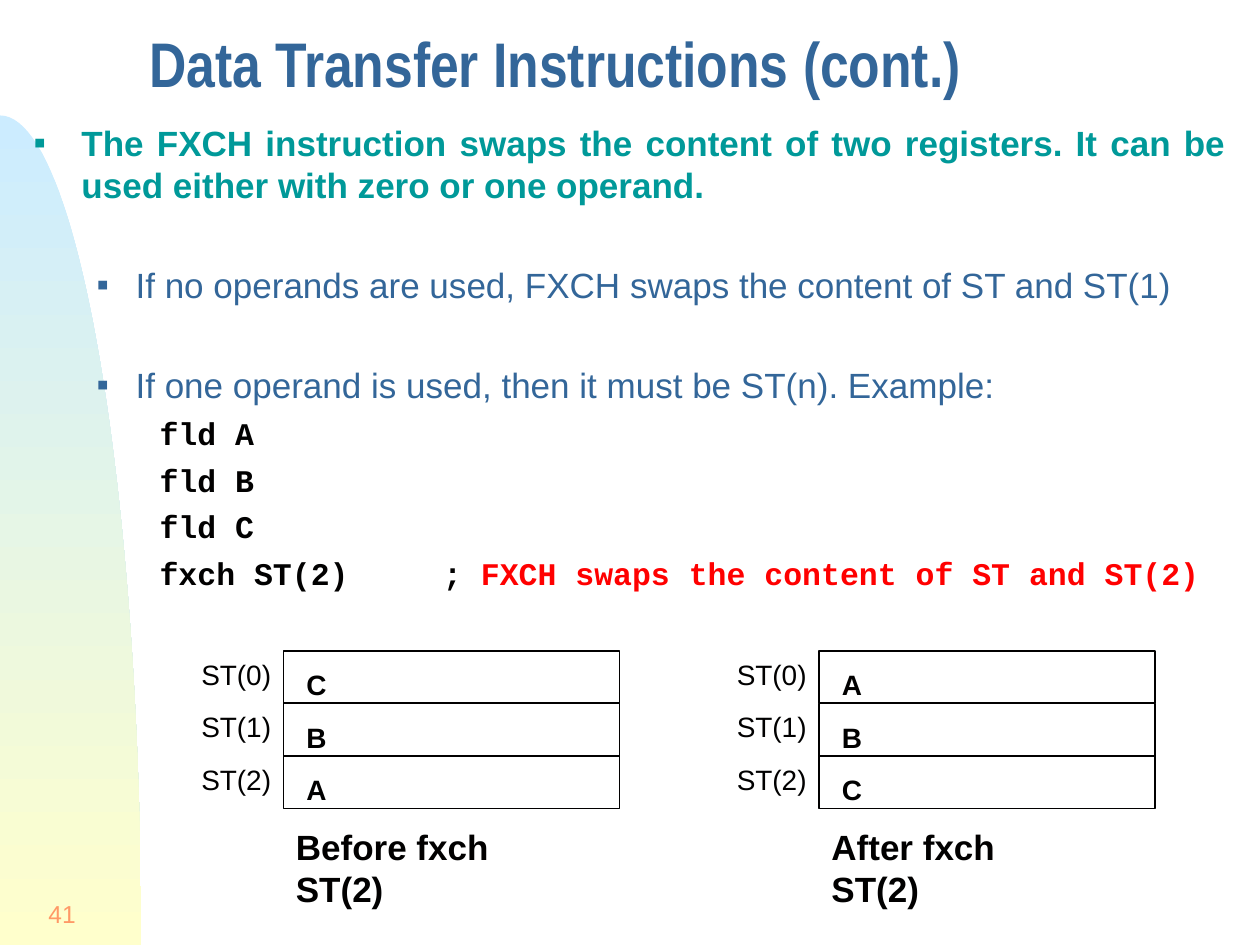
from dataclasses import dataclass

from lxml import etree
from pptx import Presentation
from pptx import util as u
from pptx.dml.color import RGBColor
from pptx.enum import shapes, text
from pptx.oxml import ns

CELLS_PER_INCH = 12
COLUMNS, ROWS = 120, 90


@dataclass(frozen=True)
class Theme:
    ink: str = "010000"
    blue: str = "336699"
    teal: str = "009999"
    red: str = "FF0000"
    orange: str = "FF9966"
    sky: str = "CCECFF"
    sand: str = "FFFFCC"
    sans: str = "Arial"
    narrow: str = "Arial Narrow"
    mono: str = "Courier New"
    title_size: int = 36
    body_size: int = 20
    code_size: int = 18
    label_size: int = 16
    number_size: int = 14


@dataclass(frozen=True)
class Bullet:
    words: str
    color: str
    level: int
    margin: float
    hanging: float
    gap: int
    bold: bool = False


@dataclass(frozen=True)
class RegisterStack:
    column: float
    values: str
    caption: str
    caption_width: float


THEME = Theme()
BULLETS = (
    Bullet("The FXCH instruction swaps the content of two registers. "
           "It can be used either with zero or one operand.",
           THEME.teal, 0, 0.38, 0.38, 0, True),
    Bullet("If no operands are used, FXCH swaps the content of ST and ST(1)",
           THEME.blue, 1, 0.81, 0.31, 33),
    Bullet("If one operand is used, then it must be ST(n). Example:",
           THEME.blue, 1, 0.81, 0.31, 33),
)
CODE = (("fld A", ""), ("fld B", ""), ("fld C", ""),
        ("fxch ST(2)\t; ", "FXCH swaps the content of ST and ST(2)"))
STACKS = (
    RegisterStack(18, "CBA", "Before fxch ST(2)", 30),
    RegisterStack(69, "ABC", "After fxch ST(2)", 27.2),
)


def cells(count: float) -> int:
    return u.Inches(count / CELLS_PER_INCH)


def place(shape, column: float, row: float, width: float, height: float) -> None:
    shape.left, shape.top = cells(column), cells(row)
    shape.width, shape.height = cells(width), cells(height)


def write(paragraph, words: str, *, size: int, color: str = THEME.ink,
          font: str = THEME.sans, bold: bool = False) -> None:
    run = paragraph.add_run()
    run.text = words
    run.font.size = u.Pt(size)
    run.font.name = font
    run.font.bold = bold
    run.font.color.rgb = RGBColor.from_string(color)


def add_label(slide, words: str, column: float, row: float, width: float,
              height: float, *, wrap: bool = False, **style):
    box = slide.shapes.add_textbox(*map(cells, (column, row, width, height)))
    box.text_frame.word_wrap = wrap
    write(box.text_frame.paragraphs[0], words, **style)
    return box


def format_item(paragraph, level: int, margin: float, hanging: float,
                gap: float, bullet_color: str = "") -> None:
    paragraph.level = level
    paragraph.alignment = text.PP_ALIGN.JUSTIFY
    paragraph.space_before = u.Pt(gap)
    properties = paragraph._p.get_or_add_pPr()
    properties.set("marL", str(u.Inches(margin)))
    properties.set("indent", str(-u.Inches(hanging)))
    properties.set("defTabSz", str(u.Inches(1)))
    if bullet_color:
        color = etree.SubElement(properties, ns.qn("a:buClr"))
        etree.SubElement(color, ns.qn("a:srgbClr")).set("val", bullet_color)
        etree.SubElement(properties, ns.qn("a:buChar")).set("char", "▪")
    else:
        etree.SubElement(properties, ns.qn("a:buNone"))


def add_side_curve(slide):
    top, width, steps = 11, 13.44, 48
    height = ROWS - top
    points = []
    for step in range(1, steps + 1):
        t = step / steps
        across = 3 * (1 - t) ** 2 * t * 0.55 + 3 * (1 - t) * t ** 2 + t ** 3
        down = 3 * (1 - t) * t ** 2 * 0.45 + t ** 3
        points.append((cells(width * across), cells(top + height * down)))
    builder = slide.shapes.build_freeform(0, cells(top))
    builder.add_line_segments(points + [(0, cells(ROWS))], close=True)
    curve = builder.convert_to_shape()
    curve.shadow.inherit = False
    curve.line.fill.background()
    curve.fill.gradient()
    curve.fill.gradient_angle = 270
    for stop, color, position in zip(curve.fill.gradient_stops,
                                     (THEME.sky, THEME.sand), (0, 1)):
        stop.color.rgb = RGBColor.from_string(color)
        stop.position = position
    return curve


def fill_title(title) -> None:
    place(title, 13, 2, 103.4, 9.7)
    frame = title.text_frame
    frame.vertical_anchor = text.MSO_ANCHOR.MIDDLE
    frame.auto_size = text.MSO_AUTO_SIZE.NONE
    paragraph = frame.paragraphs[0]
    paragraph.alignment = text.PP_ALIGN.LEFT
    paragraph.line_spacing = 0.7
    write(paragraph, "Data Transfer Instructions (cont.)", size=THEME.title_size,
          color=THEME.blue, font=THEME.narrow, bold=True)


def fill_body(body) -> None:
    place(body, 2, 11, 116, 49)
    frame = body.text_frame
    frame.auto_size = text.MSO_AUTO_SIZE.NONE
    for index, item in enumerate(BULLETS):
        paragraph = frame.add_paragraph() if index else frame.paragraphs[0]
        format_item(paragraph, item.level, item.margin, item.hanging,
                    item.gap, item.color)
        write(paragraph, item.words, size=THEME.body_size,
              color=item.color, bold=item.bold)
    for command, comment in CODE:
        paragraph = frame.add_paragraph()
        format_item(paragraph, 2, 1.25, 0.25, 5)
        for words, color in ((command, THEME.ink), (comment, THEME.red)):
            if words:
                write(paragraph, words, size=THEME.code_size, color=color,
                      font=THEME.mono, bold=True)


def draw_stack(slide, stack: RegisterStack) -> None:
    top, row_height, box_column = 62, 5, stack.column + 9
    for index, value in enumerate(stack.values):
        row = top + index * row_height
        register = slide.shapes.add_shape(
            shapes.MSO_SHAPE.RECTANGLE,
            *map(cells, (box_column, row, 32, row_height)))
        register.shadow.inherit = False
        register.fill.background()
        register.line.color.rgb = RGBColor.from_string(THEME.ink)
        register.line.width = u.Pt(1)
        add_label(slide, f"ST({index})", stack.column, row, 9.1, 4.4,
                  size=THEME.label_size)
        add_label(slide, value, box_column + 1, row + 1, 4.3, 4.4,
                  size=THEME.label_size, bold=True)
    caption = add_label(slide, stack.caption, box_column, 78, stack.caption_width,
                        5.2, wrap=True, size=THEME.body_size, bold=True)
    caption.text_frame.margin_right = u.Inches(0.4)


def main() -> None:
    presentation = Presentation()
    presentation.slide_width, presentation.slide_height = cells(COLUMNS), cells(ROWS)
    slide = presentation.slides.add_slide(presentation.slide_layouts[1])
    title, body = slide.placeholders
    fill_title(title)
    fill_body(body)
    title.element.addprevious(add_side_curve(slide).element)
    number = add_label(slide, "41", 0, 84, 8.4, 6, wrap=True,
                       size=THEME.number_size, color=THEME.orange)
    number.text_frame.vertical_anchor = text.MSO_ANCHOR.MIDDLE
    number.text_frame.paragraphs[0].alignment = text.PP_ALIGN.RIGHT
    for stack in STACKS:
        draw_stack(slide, stack)
    presentation.save("out.pptx")


if __name__ == "__main__":
    main()
